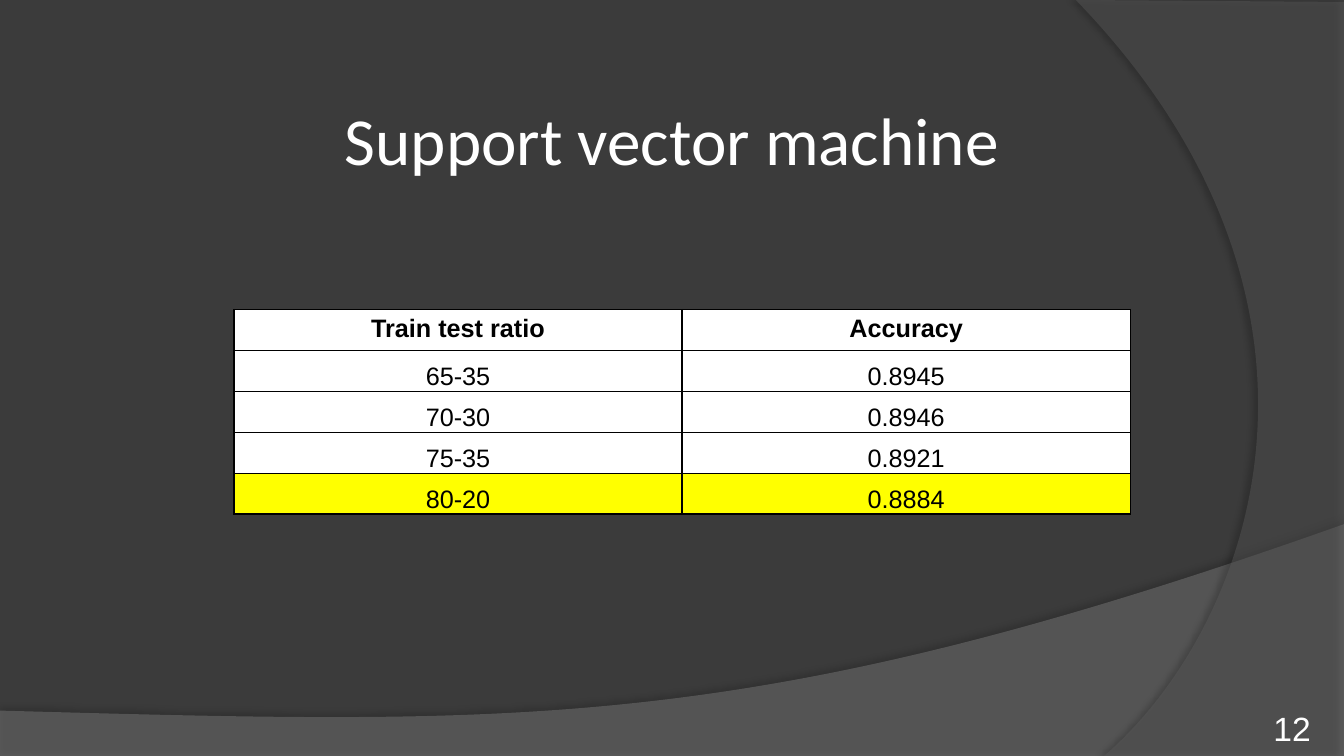
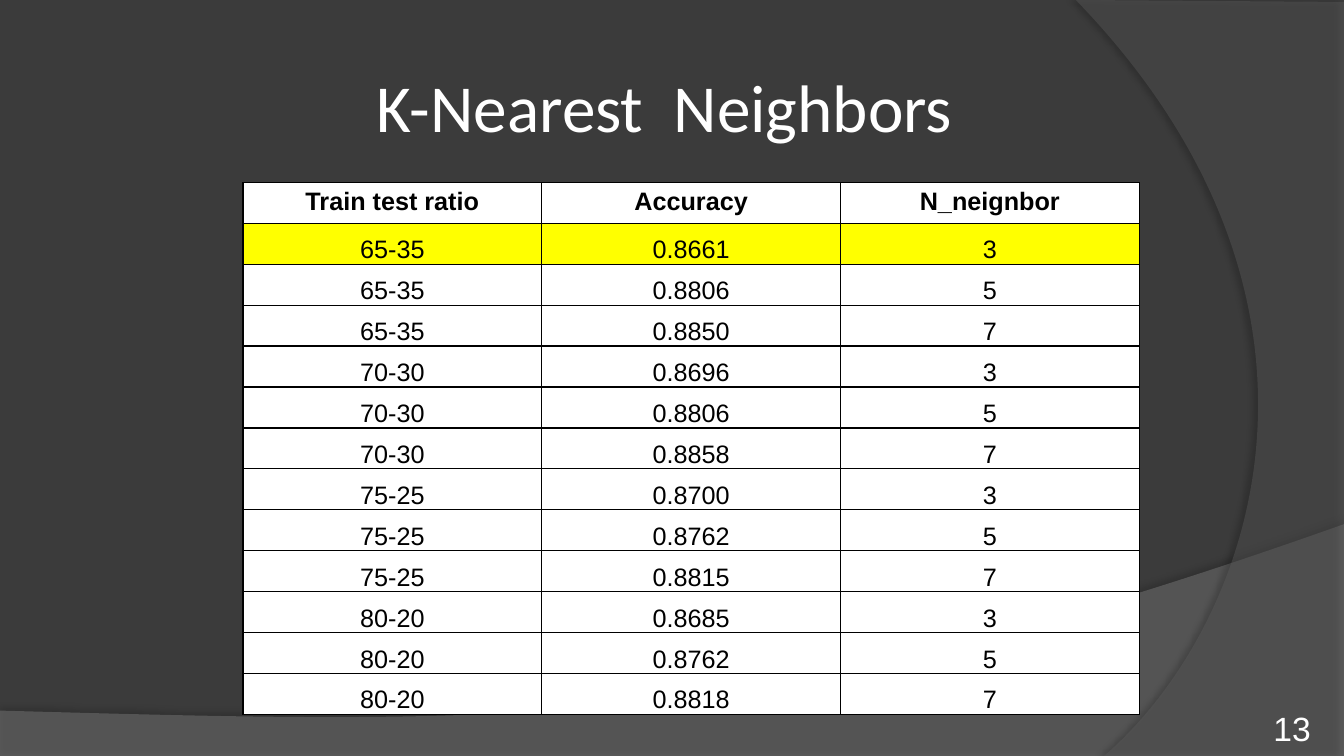
from dataclasses import dataclass

from lxml import etree
from pptx import Presentation
from pptx import util as u
from pptx.dml.color import RGBColor
from pptx.enum import text
from pptx.oxml import parse_xml
from pptx.oxml.ns import nsdecls, qn


@dataclass(frozen=True)
class Theme:
    background: str = "3B3B3B"
    lower_band: str = "7F7F7F"
    side_band: str = "5E5E5E"
    light: str = "FFFFFF"
    dark: str = "000000"
    highlight: str = "FFFF00"
    title_font: str = "Calibri"
    body_font: str = "Arial"
    title_size: int = 48
    table_size: int = 18
    number_size: int = 24


THEME = Theme()
WIDTH, HEIGHT = 13.33, 7.5
TABLE_WIDTH = 8.89
FIRST_NUMBER = 12


def paint(fill, color):
    fill.solid()
    fill.fore_color.rgb = RGBColor.from_string(color)


def style_text(frame, align, font, size, color, bold=False):
    for para in frame.paragraphs:
        para.alignment = align
        for span in para.runs:
            span.font.name = font
            span.font.size = u.Pt(size)
            span.font.bold = bold
            span.font.color.rgb = RGBColor.from_string(color)


def set_margins(box, left, top, right, bottom):
    box.margin_left, box.margin_top = u.Inches(left), u.Inches(top)
    box.margin_right, box.margin_bottom = u.Inches(right), u.Inches(bottom)


def bend_last_edge(shape, controls):
    """Turn the last straight edge of a freeform into a cubic curve."""
    edge = shape.element.findall(".//" + qn("a:lnTo"))[-1]
    edge.tag = qn("a:cubicBezTo")
    for index, (x, y) in enumerate(controls):
        point = etree.Element(qn("a:pt"))
        point.set("x", str(u.Inches(x) - shape.left))
        point.set("y", str(u.Inches(y) - shape.top))
        edge.insert(index, point)


def add_band(page, layout, corners, controls, color, opacity, shadow):
    """Draw a translucent outline, curved back to its start, and hand it to the layout."""
    start, *others = [(u.Inches(x), u.Inches(y)) for x, y in corners]
    builder = page.shapes.build_freeform(*start)
    builder.add_line_segments(others + [start], close=True)
    band = builder.convert_to_shape()
    bend_last_edge(band, controls)
    paint(band.fill, color)
    band.line.fill.background()
    solid = band.element.spPr.find(qn("a:solidFill"))
    etree.SubElement(solid[0], qn("a:alpha")).set("val", str(opacity * 1000))
    shadow_opacity, blur, distance, angle = shadow
    band.element.spPr.append(parse_xml(
        f'<a:effectLst {nsdecls("a")}><a:outerShdw blurRad="{u.Pt(blur)}" '
        f'dist="{u.Pt(distance)}" dir="{angle * 60000}" algn="ctr" rotWithShape="0">'
        f'<a:srgbClr val="{THEME.dark}"><a:alpha val="{shadow_opacity * 1000}"/>'
        '</a:srgbClr></a:outerShdw></a:effectLst>'))
    layout.shapes.element.append(band.element)


def decorate_layout(layout, page):
    """Give the layout its background and two curved bands, drawn by way of a page."""
    paint(layout.background.fill, THEME.background)
    for placeholder in list(layout.placeholders)[1:]:
        layout.shapes.element.remove(placeholder.element)
    add_band(page, layout,
             [(0, 7.05), (0, 7.51), (WIDTH, 7.51), (WIDTH, 5.2)],
             [(7.45, 7.29), (5.21, 7.19)],
             THEME.lower_band, 45, (35, 4, 3.5, 270))
    add_band(page, layout,
             [(10.67, 0), (WIDTH, 0.02), (WIDTH, HEIGHT), (10.95, HEIGHT)],
             [(12.46, 6.19), (13.57, 3)],
             THEME.side_band, 40, (45, 4, 4, 180))


def set_title(page, wording, top):
    title = page.shapes.title
    title.left, title.top = 0, u.Inches(top)
    title.width, title.height = u.Inches(WIDTH), u.Inches(0.91)
    frame = title.text_frame
    frame.text = wording
    frame.vertical_anchor = text.MSO_ANCHOR.TOP
    frame.auto_size = text.MSO_AUTO_SIZE.SHAPE_TO_FIT_TEXT
    style_text(frame, text.PP_ALIGN.CENTER, THEME.title_font,
               THEME.title_size, THEME.light)


def add_page_number(page, number):
    box = page.shapes.add_textbox(
        u.Inches(11.89), u.Inches(7.02), u.Inches(1.11), u.Inches(0.4))
    frame = box.text_frame
    frame.word_wrap = True
    frame.vertical_anchor = text.MSO_ANCHOR.BOTTOM
    set_margins(frame, 0, 0, 0, 0)
    frame.text = str(number)
    style_text(frame, text.PP_ALIGN.RIGHT, THEME.body_font,
               THEME.number_size, THEME.light)


def add_borders(cell):
    properties = cell._tc.get_or_add_tcPr()
    for side in ("lnL", "lnR", "lnT", "lnB"):
        properties.append(parse_xml(
            f'<a:{side} {nsdecls("a")} w="{u.Pt(1)}"><a:solidFill>'
            f'<a:srgbClr val="{THEME.dark}"/></a:solidFill></a:{side}>'))


def fill_cell(cell, wording, is_header, color):
    cell.text = wording
    if not is_header:
        cell.vertical_anchor = text.MSO_ANCHOR.BOTTOM
        set_margins(cell, 0.01, 0.01, 0.01, 0)
    add_borders(cell)
    paint(cell.fill, color)
    style_text(cell.text_frame, text.PP_ALIGN.CENTER, THEME.body_font,
               THEME.table_size, THEME.dark, bold=is_header)


def add_results(page, rows, left, top, height, highlighted):
    table = page.shapes.add_table(
        len(rows), len(rows[0]), u.Inches(left), u.Inches(top),
        u.Inches(TABLE_WIDTH), u.Inches(height)).table
    table.horz_banding = False
    for row_index, row in enumerate(rows):
        color = THEME.highlight if row_index == highlighted else THEME.light
        for column_index, wording in enumerate(row):
            fill_cell(table.cell(row_index, column_index), wording,
                      row_index == 0, color)


def neighbor_rows():
    accuracies = {
        "65-35": ("0.8661", "0.8806", "0.8850"),
        "70-30": ("0.8696", "0.8806", "0.8858"),
        "75-25": ("0.8700", "0.8762", "0.8815"),
        "80-20": ("0.8685", "0.8762", "0.8818"),
    }
    header = ("Train test ratio", "Accuracy", "N_neignbor")
    return [header] + [
        (ratio, accuracy, neighbors)
        for ratio, values in accuracies.items()
        for accuracy, neighbors in zip(values, ("3", "5", "7"))]


def main():
    deck = Presentation()
    deck.slide_width, deck.slide_height = u.Inches(WIDTH), u.Inches(HEIGHT)
    layout = deck.slide_layouts.get_by_name("Title Only")
    vector_rows = [
        ("Train test ratio", "Accuracy"),
        ("65-35", "0.8945"),
        ("70-30", "0.8946"),
        ("75-35", "0.8921"),
        ("80-20", "0.8884"),
    ]

    vector_page = deck.slides.add_slide(layout)
    decorate_layout(layout, vector_page)
    set_title(vector_page, "Support vector machine", 0.93)
    add_results(vector_page, vector_rows, 2.32, 3.07, 2.03, highlighted=4)

    neighbor_page = deck.slides.add_slide(layout)
    set_title(neighbor_page, "K-Nearest  Neighbors ", 0.6)
    add_results(neighbor_page, neighbor_rows(), 2.41, 1.81, 5.28, highlighted=1)

    for number, page in enumerate(deck.slides, FIRST_NUMBER):
        add_page_number(page, number)
    deck.save("out.pptx")


if __name__ == "__main__":
    main()
